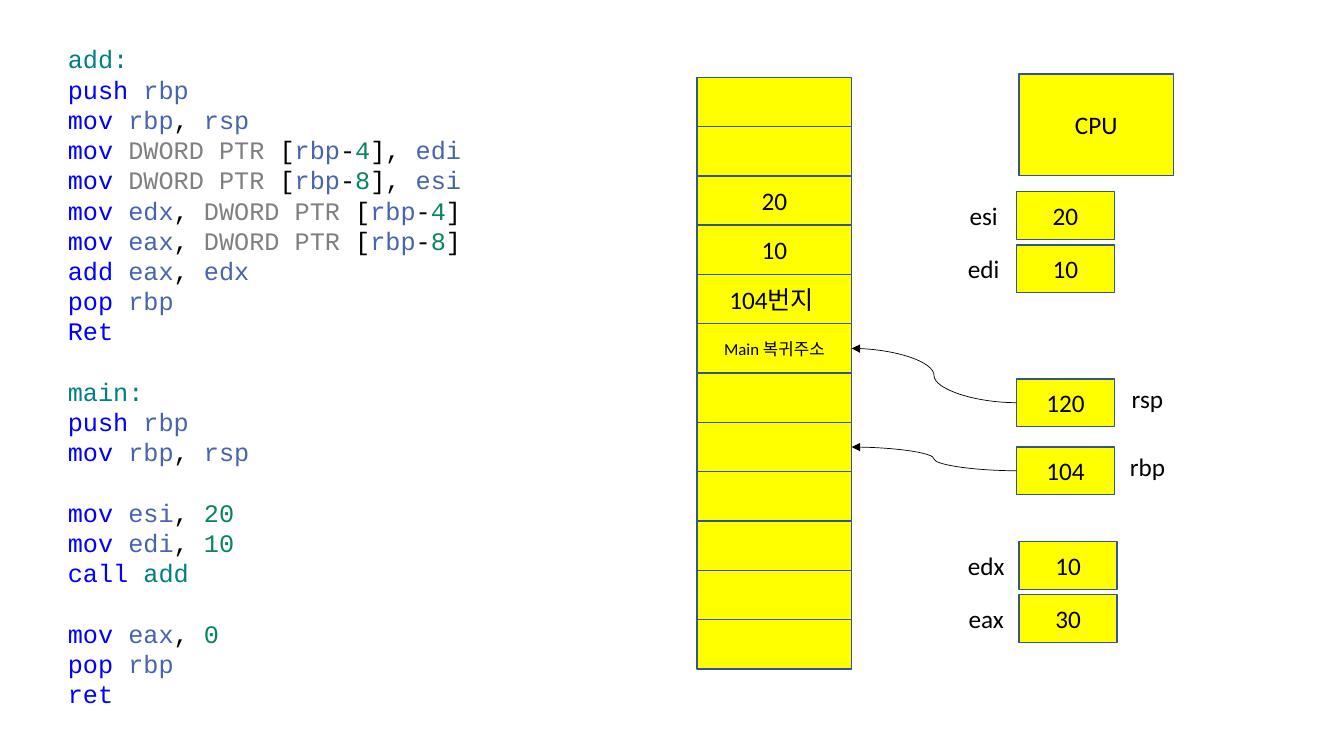
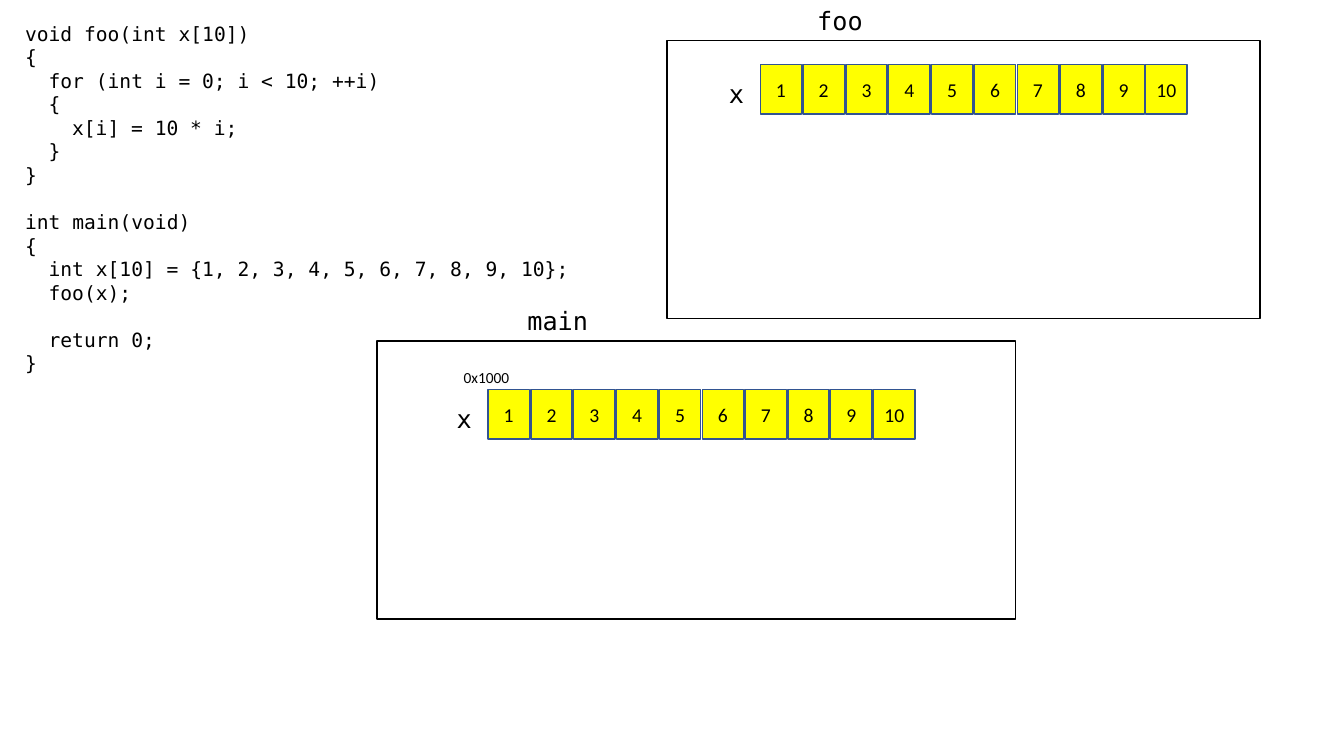
from itertools import groupby

from lxml.etree import SubElement
from pptx import Presentation
from pptx.dml.color import RGBColor
from pptx.enum.shapes import MSO_CONNECTOR, MSO_SHAPE
from pptx.enum.text import MSO_ANCHOR, PP_ALIGN
from pptx.oxml.ns import qn
from pptx.util import Inches, Pt

COLUMNS, ROWS = 160, 90
LEFT_SIDE, RIGHT_SIDE = 1, 3  # connection sites of a rectangle

ASSEMBLY = """\
add:
push rbp
mov rbp, rsp
mov DWORD PTR [rbp-4], edi
mov DWORD PTR [rbp-8], esi
mov edx, DWORD PTR [rbp-4]
mov eax, DWORD PTR [rbp-8]
add eax, edx
pop rbp
Ret

main:
push rbp
mov rbp, rsp

mov esi, 20
mov edi, 10
call add

mov eax, 0
pop rbp
ret"""

C_SOURCE = """\
void foo(int x[10])
{
  for (int i = 0; i < 10; ++i)
  {
    x[i] = 10 * i;
  }
}

int main(void)
{
  int x[10] = {1, 2, 3, 4, 5, 6, 7, 8, 9, 10};
  foo(x);

  return 0;
}"""


def color(hex_string):
    return RGBColor.from_string(hex_string)


def plain(line):
    """Return the whole line as one black part."""
    return [(line, Deck.BLACK)]


def highlight(line):
    """Split a line of assembly into (text, colour) parts."""
    if line.endswith(":"):
        return [(line, Deck.LABEL)]
    parts = []
    for is_word, letters in groupby(line, str.isalnum):
        word = "".join(letters)
        if not is_word:
            shade = Deck.BLACK
        elif not parts:
            shade = Deck.OPCODE
        elif word.isdigit():
            shade = Deck.NUMBER
        elif word in ("DWORD", "PTR"):
            shade = Deck.SIZE
        elif word in ("rbp", "rsp", "edi", "esi", "edx", "eax"):
            shade = Deck.REGISTER
        else:
            shade = Deck.LABEL
        parts.append((word, shade))
    return parts


class Deck:
    """Style and drawing methods; lengths are grid columns and rows."""

    BLACK, WHITE, YELLOW, BLUE = "000000", "FFFFFF", "FFFF00", "325491"
    LABEL, OPCODE, REGISTER = "008080", "0000FF", "4864AA"
    SIZE, NUMBER = "808080", "098658"
    SANS, MONO, COURIER = "Calibri", "DejaVu Sans Mono", "Courier New"
    LINE_HEIGHT, CHARACTER_WIDTH = 1.2, 0.6
    CELL_HEIGHT, LABEL_HEIGHT = 5.87, 4.8
    REGISTER_WIDTH, REGISTER_HEIGHT, REGISTER_LABEL = 11.7, 5.7, 7.8

    def __init__(self):
        self.presentation = Presentation()
        self.presentation.slide_width = Inches(13.33)
        self.presentation.slide_height = Inches(7.5)
        self.slide = None

    def add_slide(self):
        self.slide = self.presentation.slides.add_slide(
            self.presentation.slide_layouts[6])

    def place(self, column, row, width, height):
        across = self.presentation.slide_width / COLUMNS
        down = self.presentation.slide_height / ROWS
        return (round(column * across), round(row * down),
                round(width * across), round(height * down))

    def format_run(self, run, size, font, shade):
        run.font.size = Pt(size)
        run.font.name = font
        run.font.color.rgb = color(shade)

    def set_text(self, frame, text, size, font, align):
        frame.word_wrap = True
        frame.text = text
        paragraph = frame.paragraphs[0]
        paragraph.alignment = align
        for run in paragraph.runs:
            self.format_run(run, size, font, self.BLACK)

    def box(self, column, row, width, height, text="", size=18,
            fill=YELLOW, line=BLUE):
        shape = self.slide.shapes.add_shape(
            MSO_SHAPE.RECTANGLE, *self.place(column, row, width, height))
        shape.shadow.inherit = False
        shape.fill.solid()
        shape.fill.fore_color.rgb = color(fill)
        shape.line.color.rgb = color(line)
        shape.line.width = Pt(1)
        if text:
            frame = shape.text_frame
            frame.margin_left = frame.margin_right = 0
            frame.vertical_anchor = MSO_ANCHOR.MIDDLE
            self.set_text(frame, text, size, self.SANS, PP_ALIGN.CENTER)
        return shape

    def label(self, text, column, row, width, height=LABEL_HEIGHT, size=18,
              font=SANS, align=PP_ALIGN.LEFT):
        shape = self.slide.shapes.add_textbox(
            *self.place(column, row, width, height))
        self.set_text(shape.text_frame, text, size, font, align)

    def code(self, source, column, row, width, height, size, font, painter):
        """Blank lines become paragraph spacing, leading spaces an indent."""
        frame = self.slide.shapes.add_textbox(
            *self.place(column, row, width, height)).text_frame
        frame.word_wrap = True
        paragraph, gap = frame.paragraphs[0], False
        for number, line in enumerate(source.splitlines()):
            if not line:
                gap = True
                continue
            if number:
                paragraph = frame.add_paragraph()
            text = line.lstrip()
            indent = (len(line) - len(text)) * self.CHARACTER_WIDTH * size
            properties = paragraph._p.get_or_add_pPr()
            properties.set("marL", str(int(Pt(indent))))
            properties.set("indent", "0")
            paragraph.line_spacing = Pt(self.LINE_HEIGHT * size)
            if gap:
                paragraph.space_before = Pt(self.LINE_HEIGHT * size)
                gap = False
            for part, shade in painter(text):
                run = paragraph.add_run()
                run.text = part
                self.format_run(run, size, font, shade)

    def stack(self, column, row, width, cells):
        return [self.box(column, row + index * self.CELL_HEIGHT, width,
                         self.CELL_HEIGHT, text, size)
                for index, (text, size) in enumerate(cells)]

    def register(self, name, value, column, row, name_on_right=False):
        if name_on_right:
            name_column, name_row = column + self.REGISTER_WIDTH, row - 0.1
        else:
            name_column, name_row = column - self.REGISTER_LABEL, row + 0.45
        self.label(name, name_column, name_row, self.REGISTER_LABEL,
                   align=PP_ALIGN.CENTER)
        return self.box(column, row, self.REGISTER_WIDTH,
                        self.REGISTER_HEIGHT, value)

    def pointer(self, source, target):
        connector = self.slide.shapes.add_connector(
            MSO_CONNECTOR.CURVE, 0, 0, 0, 0)
        connector.begin_connect(source, LEFT_SIDE)
        connector.end_connect(target, RIGHT_SIDE)
        connector.line.color.rgb = color(self.BLACK)
        connector.line.width = Pt(0.5)
        SubElement(connector.line._get_or_add_ln(), qn("a:tailEnd"),
                   type="triangle")
        SubElement(connector._element.spPr, qn("a:effectLst"))

    def function_frame(self, name, name_column, column, row, width):
        self.box(column, row, width, 33.1, fill=self.WHITE, line=self.BLACK)
        self.label(name, name_column, row - self.LABEL_HEIGHT, 10.6,
                   font=self.MONO)

    def array(self, name, values, column, row):
        cell_width, pitch = 4.92, 5.1
        self.label(name, column - cell_width, row + 1, cell_width,
                   font=self.MONO)
        for index, value in enumerate(values):
            self.box(column + index * pitch, row, cell_width,
                     self.CELL_HEIGHT, str(value), 14)


def build_stack_slide(deck):
    deck.add_slide()
    # Memory
    empty = ("", 18)
    cells = [empty] * 2 + [("20", 18), ("10", 18), ("104번지 ", 18),
                           ("Main 복귀주소", 12)] + [empty] * 6
    memory = deck.stack(83, 9.2, 18.4, cells)
    # Processor and registers
    deck.box(121.3, 8.8, 18.4, 12.1, "CPU")
    deck.register("esi", "20", 121, 22.8)
    deck.register("edi", "10", 121, 29.15)
    stack_pointer = deck.register("rsp", "120", 121, 45.1, True)
    base_pointer = deck.register("rbp", "104", 121, 53.2, True)
    deck.register("edx", "10", 121.3, 64.45)
    deck.register("eax", "30", 121.3, 70.8)
    deck.pointer(stack_pointer, memory[5])
    deck.pointer(base_pointer, memory[7])
    # Program
    deck.code(ASSEMBLY, 6.9, 4.6, 51.5, 81.2, 18, deck.COURIER, highlight)


def build_array_slide(deck):
    deck.add_slide()
    values = range(1, 11)
    # Program
    deck.code(C_SOURCE, 1.8, 2, 80, 43.7, 14, deck.MONO, plain)
    # Frame of main
    deck.function_frame("main", 61.6, 44.9, 40.6, 76)
    deck.array("x", values, 58.1, 46.4)
    deck.label("0x1000", 54, 43.2, 12.8, 3.5, size=11)
    # Frame of foo
    deck.function_frame("foo", 96.1, 79.4, 4.8, 70.6)
    deck.array("x", values, 90.5, 7.7)


def main():
    deck = Deck()
    build_stack_slide(deck)
    build_array_slide(deck)
    deck.presentation.save("out.pptx")


if __name__ == "__main__":
    main()
